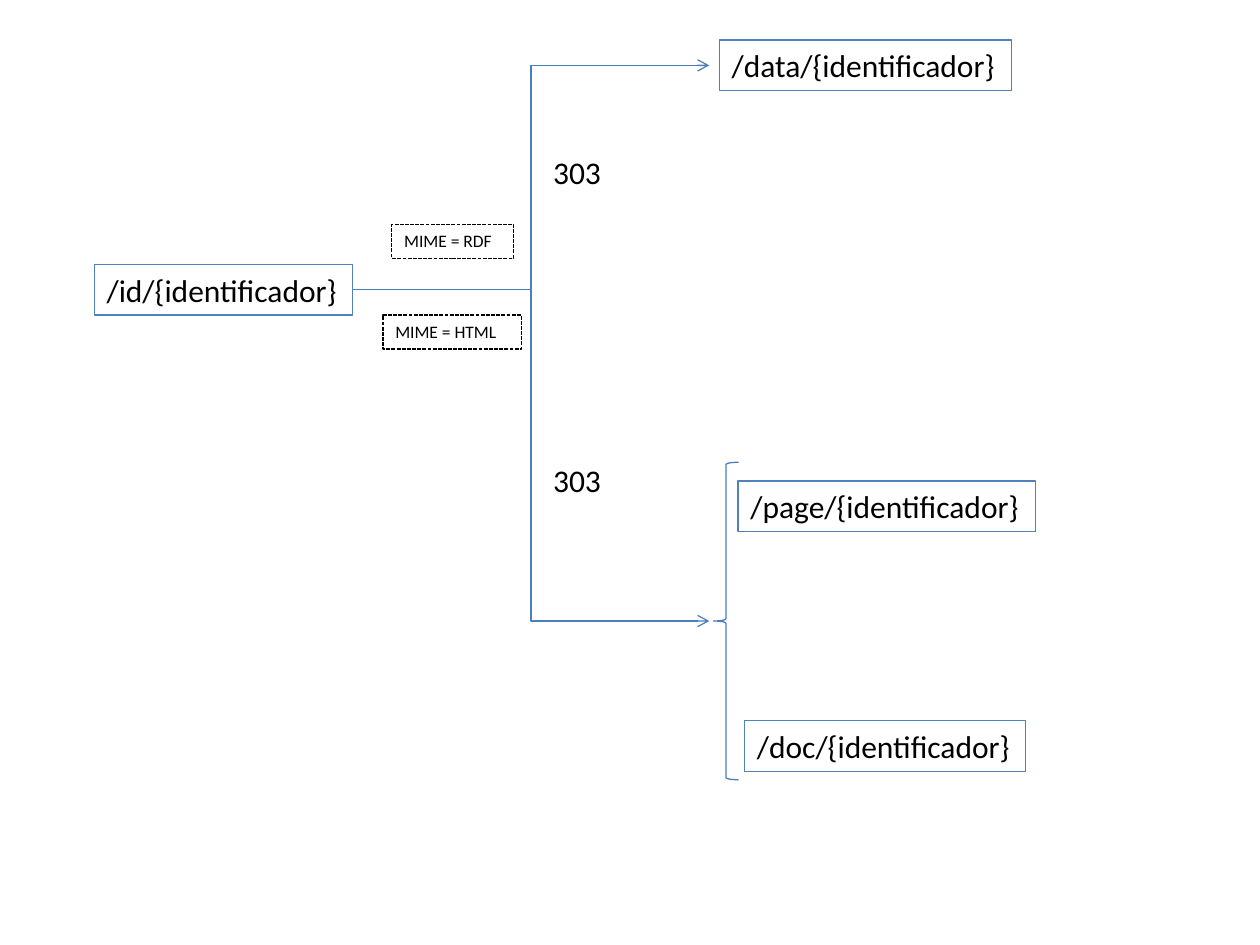
from lxml import etree
from pptx import Presentation
from pptx.dml.color import RGBColor
from pptx.enum.dml import MSO_LINE
from pptx.enum.shapes import MSO_CONNECTOR, MSO_SHAPE
from pptx.enum.text import MSO_AUTO_SIZE
from pptx.oxml.ns import qn
from pptx.util import Cm, Pt

BLACK = RGBColor(0x00, 0x00, 0x00)
BOX_BLUE = RGBColor(0x4F, 0x81, 0xBD)
ARROW_BLUE = RGBColor(0x4B, 0x7E, 0xBC)
SQUARE_DOT = MSO_LINE.SQUARE_DOT
FIT_TEXT = MSO_AUTO_SIZE.SHAPE_TO_FIT_TEXT
ELBOW = MSO_CONNECTOR.ELBOW
LEFT_BRACE = MSO_SHAPE.LEFT_BRACE
THIN = Pt(0.75)


def add_label(text, left, top, width, height=1.02, size=18, wrap=False):
    label = slide.shapes.add_textbox(Cm(left), Cm(top), Cm(width), Cm(height))
    frame = label.text_frame
    frame.word_wrap = wrap
    frame.auto_size = FIT_TEXT
    paragraph = frame.paragraphs[0]
    paragraph.text = text
    paragraph.font.name = "Calibri"
    paragraph.font.size = Pt(size)
    paragraph.font.color.rgb = BLACK
    return label


def set_outline(shape, color):
    shape.line.color.rgb = color
    shape.line.width = THIN


prs = Presentation()
prs.slide_width = Cm(25.4)
prs.slide_height = Cm(19.05)
slide = prs.slides.add_slide(prs.slide_layouts[6])

resource = add_label("/id/{identificador}", 1.9, 5.33, 5.21)
set_outline(resource, BOX_BLUE)

for target_y in (12.52, 1.32):
    redirect = slide.shapes.add_connector(
        ELBOW, Cm(7.11), Cm(5.84), Cm(14.3), Cm(target_y))
    set_outline(redirect, ARROW_BLUE)
    properties = redirect._element.spPr
    etree.SubElement(properties.find(qn("a:ln")), qn("a:tailEnd"), type="arrow")
    etree.SubElement(properties, qn("a:effectLst"))

for mime_type, left, top, width in (
    ("MIME = RDF", 7.9, 4.52, 2.46),
    ("MIME = HTML", 7.72, 6.35, 2.79),
):
    condition = add_label(mime_type, left, top, width, 0.69, 10, True)
    set_outline(condition, BLACK)
    condition.line.dash_style = SQUARE_DOT

for status_top in (2.97, 9.17):
    add_label("303", 10.9, status_top, 1.5)

for address, left, top, width in (
    ("/data/{identificador}", 14.5, 0.81, 5.89),
    ("/page/{identificador}", 14.88, 9.7, 5.99),
    ("/doc/{identificador}", 15.01, 14.53, 5.66),
):
    document = add_label(address, left, top, width)
    set_outline(document, BOX_BLUE)

html_brace = slide.shapes.add_shape(
    LEFT_BRACE, Cm(14.38), Cm(9.32), Cm(0.51), Cm(6.4))
html_brace.shadow.inherit = False
html_brace.fill.background()
set_outline(html_brace, ARROW_BLUE)

prs.save("out.pptx")
